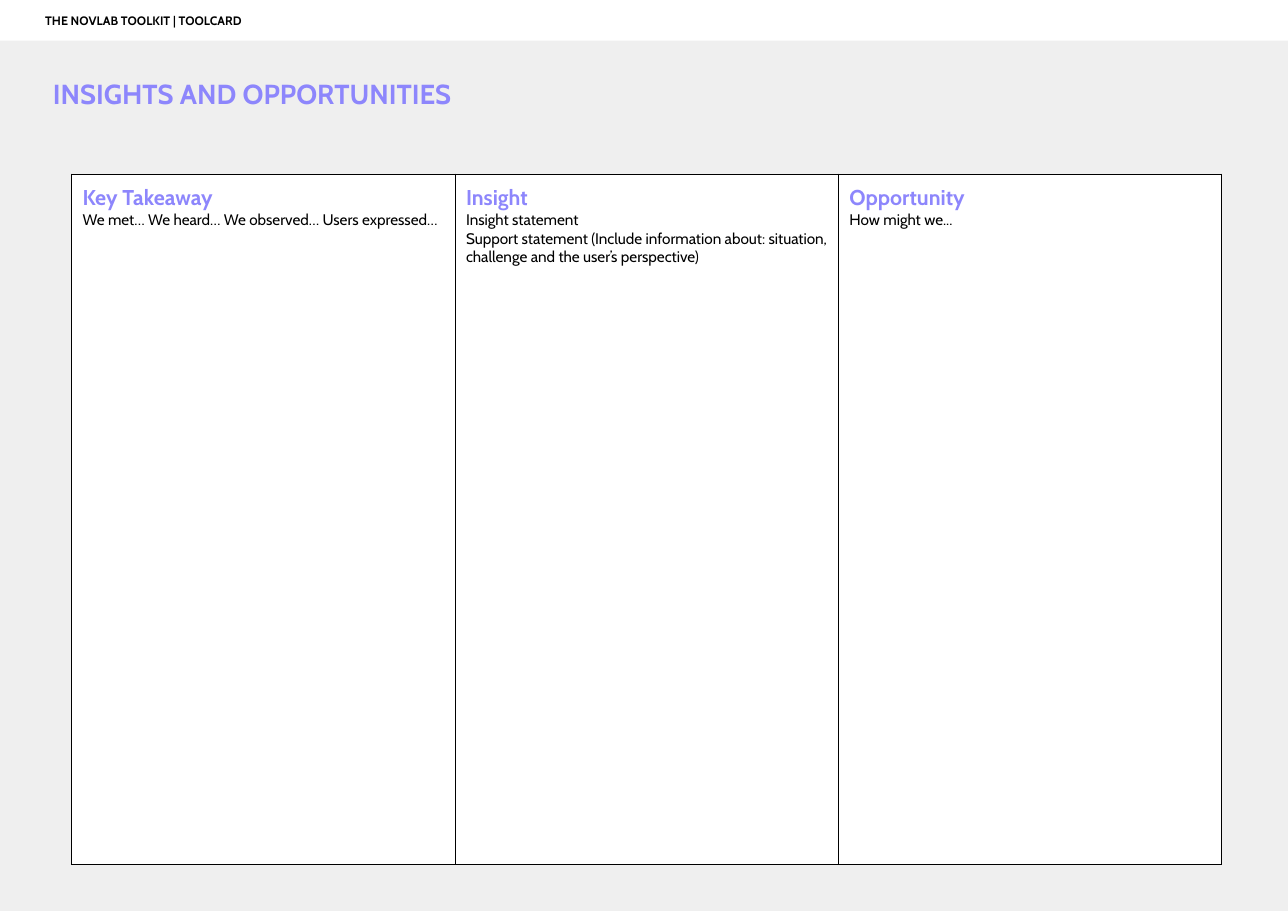
from lxml import etree
from pptx import Presentation
from pptx import util as u
from pptx.dml.color import RGBColor
from pptx.enum import shapes, text
from pptx.oxml import ns

FONT = "Cabin"
PURPLE, BLACK, WHITE, GREY = "8D86FC", "000000", "FFFFFF", "EFEFEF"
INSET = 0.1
COLUMN_WIDTH, TABLE_HEIGHT = 3.48, 6.27

COLUMNS = [
    ("Key Takeaway", ["We met… We heard… We observed… Users expressed…"]),
    ("Insight", [
        "Insight statement",
        "Support statement (Include information about: situation, "
        "challenge and the user’s perspective)",
    ]),
    ("Opportunity", ["How might we..."]),
]


def color(hex_code):
    return RGBColor.from_string(hex_code)


def style(paragraph, size, hex_code, bold):
    font = paragraph.font
    font.name, font.size, font.bold = FONT, u.Pt(size), bold
    font.color.rgb = color(hex_code)
    paragraph.alignment = text.PP_ALIGN.LEFT


def set_margins(holder, left=INSET):
    holder.margin_left = u.Inches(left)
    holder.margin_right = holder.margin_top = holder.margin_bottom = u.Inches(INSET)


def add_band(slide, width, height, fill):
    """Filled rectangle from the top left corner of the slide."""
    band = slide.shapes.add_shape(
        shapes.MSO_SHAPE.RECTANGLE, 0, 0, u.Inches(width), u.Inches(height))
    band.shadow.inherit = False
    band.fill.solid()
    band.fill.fore_color.rgb = color(fill)
    band.line.fill.background()
    return band


def write_heading(shape, words, size, hex_code, left):
    """One bold line, centred vertically in its shape."""
    frame = shape.text_frame
    frame.word_wrap = True
    frame.vertical_anchor = text.MSO_ANCHOR.MIDDLE
    set_margins(frame, left)
    heading = frame.paragraphs[0]
    heading.text = words
    style(heading, size, hex_code, True)


def add_borders(cell, hex_code, width):
    properties = cell._tc.get_or_add_tcPr()
    for side in ("a:lnL", "a:lnR", "a:lnT", "a:lnB"):
        border = etree.SubElement(properties, ns.qn(side), w=str(u.Pt(width)))
        fill = etree.SubElement(border, ns.qn("a:solidFill"))
        etree.SubElement(fill, ns.qn("a:srgbClr"), val=hex_code)


def fill_cell(cell, heading, prompts):
    add_borders(cell, BLACK, 0.75)
    cell.fill.solid()
    cell.fill.fore_color.rgb = color(WHITE)
    set_margins(cell)
    frame = cell.text_frame
    frame.text = "\n".join([heading, *prompts])
    style(frame.paragraphs[0], 14, PURPLE, True)
    for prompt in frame.paragraphs[1:]:
        style(prompt, 10, BLACK, False)


def add_worksheet(slide):
    """Table with one tall writing column per step."""
    table = slide.shapes.add_table(
        1, len(COLUMNS), u.Inches(0.65), u.Inches(1.58),
        u.Inches(COLUMN_WIDTH * len(COLUMNS)), u.Inches(TABLE_HEIGHT)).table
    table.first_row = table.horz_banding = False
    for index, (heading, prompts) in enumerate(COLUMNS):
        table.columns[index].width = u.Inches(COLUMN_WIDTH)
        fill_cell(table.cell(0, index), heading, prompts)


def main():
    presentation = Presentation()
    presentation.slide_width = u.Inches(11.69)
    presentation.slide_height = u.Inches(8.27)
    slide = presentation.slides.add_slide(presentation.slide_layouts[6])

    # Grey page
    add_band(slide, 11.69, 8.27, GREY)

    # Title
    title = slide.shapes.add_textbox(0, u.Inches(0.59), u.Inches(6.64), u.Inches(0.51))
    write_heading(title, "INSIGHTS AND OPPORTUNITIES", 18, PURPLE, 0.48)

    # Worksheet
    add_worksheet(slide)

    # Header strip
    header = add_band(slide, 11.71, 0.37, WHITE)
    write_heading(header, "THE NOVLAB TOOLKIT | TOOLCARD", 8, BLACK, 0.41)

    presentation.save("out.pptx")


if __name__ == "__main__":
    main()
